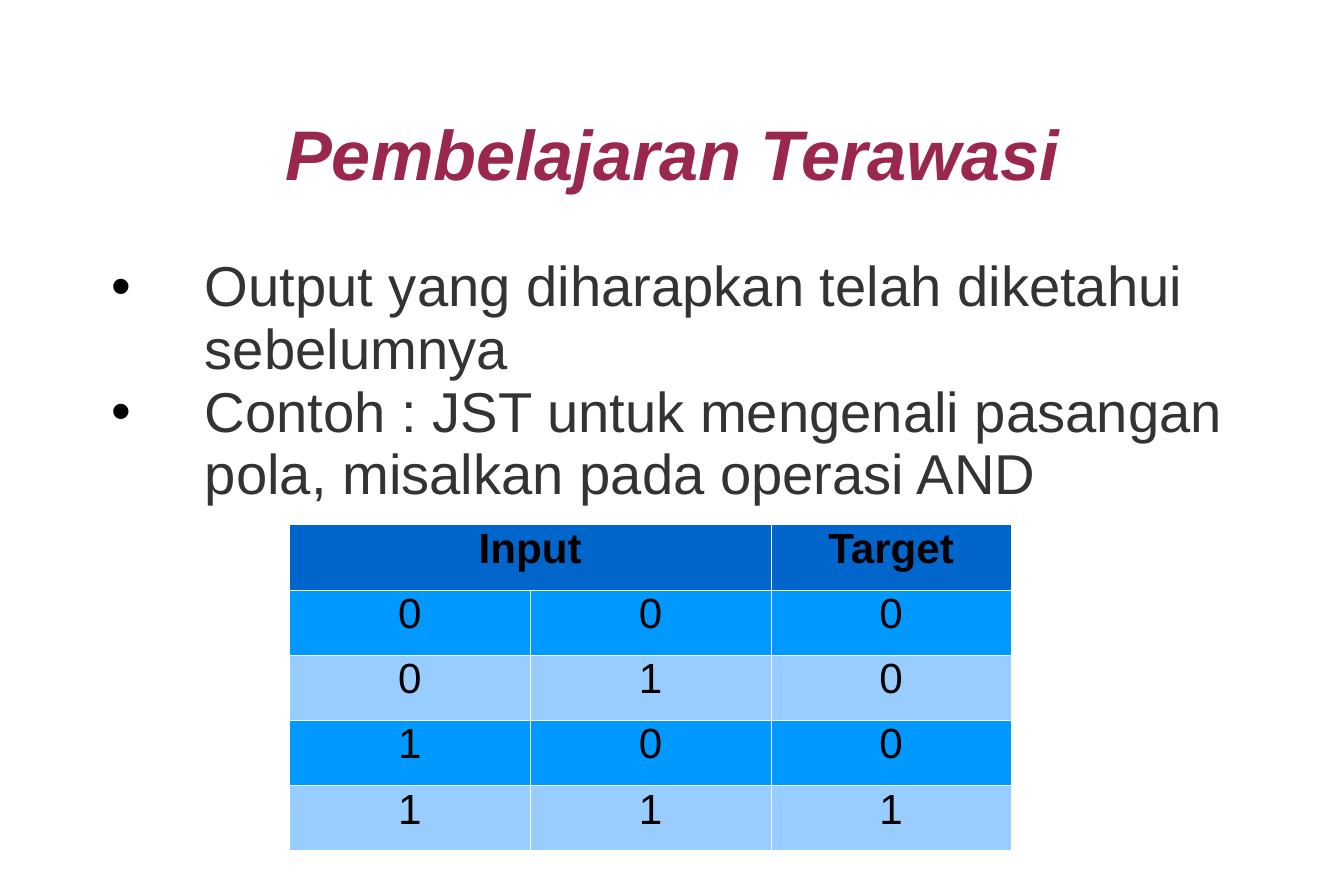
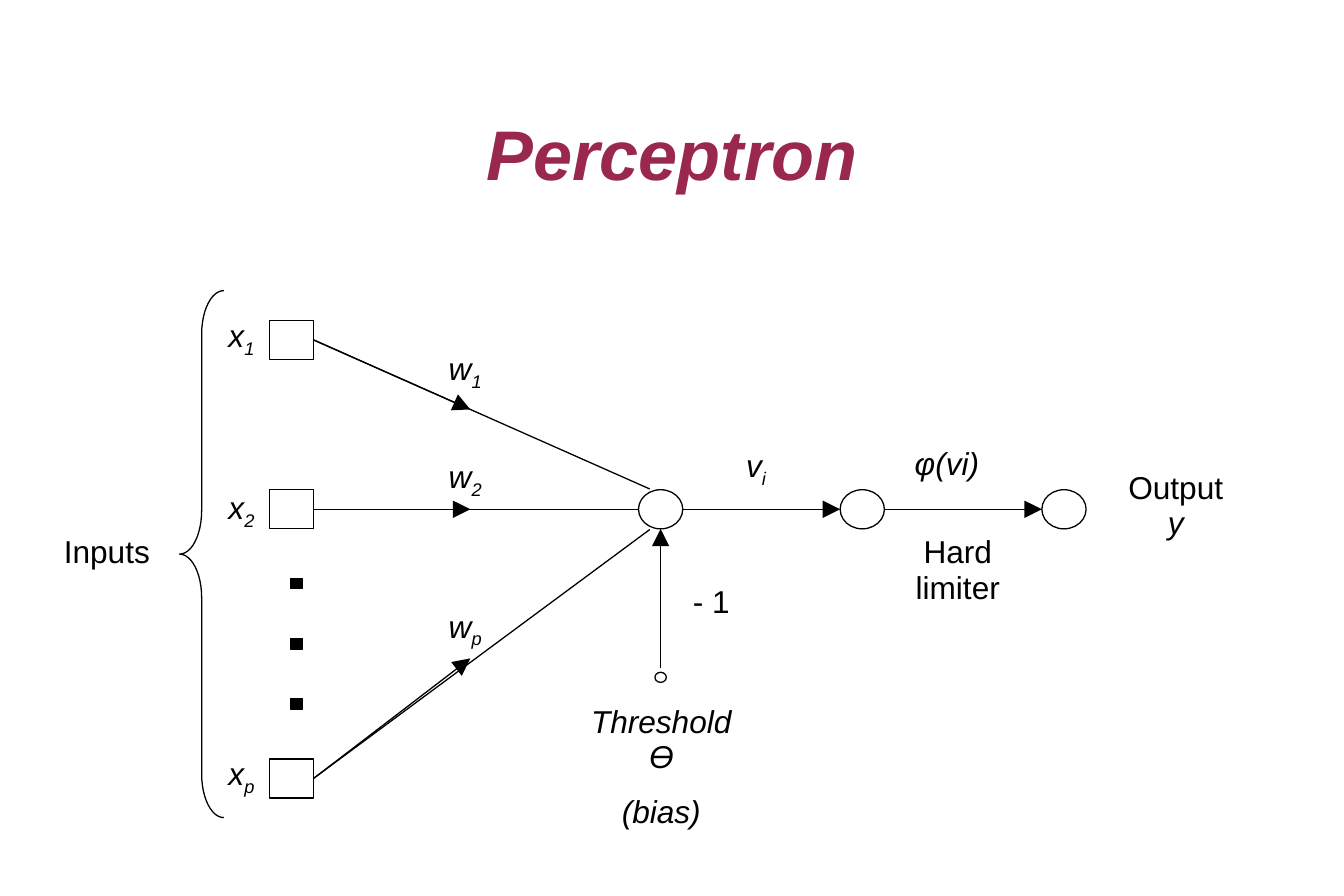
from dataclasses import dataclass

from lxml import etree
from pptx import Presentation
from pptx.dml.color import RGBColor
from pptx.enum import shapes, text
from pptx.oxml import ns
from pptx.util import Inches, Pt


@dataclass(frozen=True)
class Theme:
    font: str = "Arial"
    title: str = "99284C"
    body: str = "333333"
    ink: str = "000000"
    border: str = "FFFFFF"
    header: str = "0066CC"
    bands: tuple = ("0099FF", "99CCFF")
    title_size: int = 40
    body_size: int = 32
    table_size: int = 24
    label_size: int = 18
    line: float = 0.75
    spacing: float = 0.93
    table_spacing: float = 0.87


THEME = Theme()
SLIDE_SIZE = (10.63, 7.09)
TITLE_BOX = (0.78, 0.66, 9.07, 1.17)

# Slide 1 content
BULLETS = [
    "Output yang diharapkan telah diketahui sebelumnya",
    "Contoh : JST untuk mengenali pasangan pola, misalkan pada operasi AND",
]
BODY_BOX = (0.87, 2, 8.87, 4.39)
TRUTH_TABLE = [
    ("Input", "", "Target"),
    ("0", "0", "0"),
    ("0", "1", "0"),
    ("1", "0", "0"),
    ("1", "1", "1"),
]
TABLE_BOX = (2.29, 4.15, 5.71, 2.58)

# Slide 2 content: node grid
NODE_W, NODE_H = 0.35, 0.31
DOT_W, DOT_H = 0.09, 0.08
INPUT_X, NEURON_X, NEURON_STEP = 2.13, 5.05, 1.595
AXIS_Y = 4.03
ARROW_X = 3.72
# Input centre, end of its line on the neuron, height of its arrowhead
INPUTS = [
    (2.69, (5.14, 3.87), 3.24),
    (AXIS_Y, (NEURON_X, AXIS_Y), AXIS_Y),
    (6.16, (5.14, 4.19), 5.21),
]
BRACE_BOX = (1.42, 2.3, 0.35, 4.17)
# Label box, then paragraphs of (text, style): i = italic, s = subscript
LABELS = [
    ((0.27, 4.19, 1.15, 0.38), [[("Inputs", "")]]),
    ((1.51, 2.45, 0.8, 0.42), [[("x", "i"), ("1", "is")]]),
    ((1.51, 3.81, 0.8, 0.42), [[("x", "i"), ("2", "is")]]),
    ((1.51, 5.92, 0.8, 0.42), [[("x", "i"), ("p", "is")]]),
    ((3.28, 2.71, 0.8, 0.42), [[("w", "i"), ("1", "is")]]),
    ((3.28, 3.57, 0.8, 0.42), [[("w", "i"), ("2", "is")]]),
    ((3.28, 4.75, 0.8, 0.42), [[("w", "i"), ("p", "is")]]),
    ((5.58, 3.48, 0.8, 0.42), [[("v", "i"), ("i", "is")]]),
    ((7.09, 3.49, 0.8, 0.38), [[("φ(vi)", "i")]]),
    ((7, 4.19, 1.15, 0.66), [[("Hard limiter", "")]]),
    ((8.77, 3.68, 1.06, 0.66), [[("Output ", ""), ("y", "i")]]),
    ((5.05, 4.58, 1.15, 0.38), [[("- 1", "")]]),
    ((4.52, 5.53, 1.42, 1.1), [[("Threshold Ө", "i")], [("(bias)", "i")]]),
]


def inches(values):
    return [Inches(value) for value in values]


def style_font(font, size, color, bold=False, italic=False):
    font.name, font.size = THEME.font, Pt(size)
    font.color.rgb = RGBColor.from_string(color)
    font.bold, font.italic = bold, italic


def place(shape, box):
    shape.left, shape.top, shape.width, shape.height = inches(box)


def set_frame(frame, insets, anchor=text.MSO_ANCHOR.TOP):
    frame.word_wrap = True
    frame.auto_size = text.MSO_AUTO_SIZE.NONE
    frame.vertical_anchor = anchor
    (frame.margin_left, frame.margin_top,
     frame.margin_right, frame.margin_bottom) = inches(insets)


def add_slide(deck, layout, title):
    page = deck.slides.add_slide(deck.slide_layouts[layout])
    place(page.shapes.title, TITLE_BOX)
    frame = page.shapes.title.text_frame
    frame.text = title
    set_frame(frame, (0, 0, 0, 0), text.MSO_ANCHOR.MIDDLE)
    para = frame.paragraphs[0]
    para.alignment, para.line_spacing = text.PP_ALIGN.CENTER, THEME.spacing
    style_font(para.runs[0].font, THEME.title_size, THEME.title, True, True)
    return page


def add_bullets(page):
    body = page.placeholders[1]
    place(body, BODY_BOX)
    frame = body.text_frame
    frame.text = "\n".join(BULLETS)
    set_frame(frame, (0, 0.03, 0, 0))
    for para in frame.paragraphs:
        para.line_spacing, para.space_before = THEME.spacing, Pt(0)
        props = para._p.get_or_add_pPr()
        props.set("marL", str(Inches(0.75)))
        props.set("indent", str(Inches(-0.74)))
        color = etree.SubElement(props, ns.qn("a:buClr"))
        etree.SubElement(color, ns.qn("a:srgbClr"), val=THEME.ink)
        etree.SubElement(props, ns.qn("a:buChar"), char="•")
        style_font(para.runs[0].font, THEME.body_size, THEME.body)


def set_borders(cell):
    props = cell._tc.get_or_add_tcPr()
    for index, side in enumerate(("lnL", "lnR", "lnT", "lnB")):
        line = etree.Element(ns.qn("a:" + side), w=str(Pt(0.06)))
        fill = etree.SubElement(line, ns.qn("a:solidFill"))
        etree.SubElement(fill, ns.qn("a:srgbClr"), val=THEME.border)
        props.insert(index, line)


def add_truth_table(page):
    count = len(TRUTH_TABLE)
    width, height = TABLE_BOX[2:]
    table = page.shapes.add_table(count, 3, *inches(TABLE_BOX)).table
    for column in table.columns:
        column.width = Inches(width / 3)
    for row in table.rows:
        row.height = Inches(height / count)
    table.cell(0, 0).merge(table.cell(0, 1))
    for r, values in enumerate(TRUTH_TABLE):
        color = THEME.bands[(r - 1) % 2] if r else THEME.header
        for c, value in enumerate(values):
            cell = table.cell(r, c)
            cell.fill.solid()
            cell.fill.fore_color.rgb = RGBColor.from_string(color)
            set_borders(cell)
            if value:
                cell.text = value
                para = cell.text_frame.paragraphs[0]
                para.alignment = text.PP_ALIGN.CENTER
                para.line_spacing = THEME.table_spacing
                style_font(para.runs[0].font, THEME.table_size, THEME.ink, r == 0)


def set_line(shape):
    shape.line.color.rgb = RGBColor.from_string(THEME.ink)
    shape.line.width = Pt(THEME.line)


def add_outline(page, kind, box, filled=False):
    shape = page.shapes.add_shape(kind, *inches(box))
    shape.shadow.inherit = False
    if filled:
        shape.fill.solid()
        shape.fill.fore_color.rgb = RGBColor.from_string(THEME.ink)
    else:
        shape.fill.background()
    set_line(shape)
    return shape


def add_line(page, start, end, arrow=False):
    line = page.shapes.add_connector(
        shapes.MSO_CONNECTOR.STRAIGHT, *inches(start + end))
    set_line(line)
    if arrow:
        etree.SubElement(line.line._get_or_add_ln(), ns.qn("a:tailEnd"),
                         type="triangle", w="lg", len="lg")
    etree.SubElement(line._element.spPr, ns.qn("a:effectLst"))


def add_label(page, box, paragraphs):
    frame = page.shapes.add_textbox(*inches(box)).text_frame
    set_frame(frame, (0.1, 0.05, 0.1, 0.05))
    for index, spans in enumerate(paragraphs):
        para = frame.add_paragraph() if index else frame.paragraphs[0]
        para.alignment, para.line_spacing = text.PP_ALIGN.CENTER, THEME.spacing
        if index:
            para.space_before = Pt(11.2)
        for words, style in spans:
            span = para.add_run()
            span.text = words
            style_font(span.font, THEME.label_size, THEME.ink, italic="i" in style)
            if "s" in style:
                span._r.get_or_add_rPr().set("baseline", "-25000")


def add_perceptron(page):
    kinds = shapes.MSO_SHAPE
    brace = add_outline(page, kinds.LEFT_BRACE, BRACE_BOX)
    brace.adjustments[0] = 0.98

    # Inputs with weighted lines
    for middle, target, arrow_y in INPUTS:
        add_outline(page, kinds.RECTANGLE,
                    (INPUT_X, middle - NODE_H / 2, NODE_W, NODE_H))
        start = (INPUT_X + NODE_W, middle)
        add_line(page, start, target)
        add_line(page, start, (ARROW_X, arrow_y), arrow=True)
    for step in range(3):
        add_outline(page, kinds.RECTANGLE,
                    (2.3, 4.58 + 0.475 * step, DOT_W, DOT_H), filled=True)

    # Sum, limiter and output in a row
    for step in range(3):
        left = NEURON_X + NEURON_STEP * step
        add_outline(page, kinds.OVAL,
                    (left, AXIS_Y - NODE_H / 2, NODE_W, NODE_H))
        if step:
            add_line(page, (left - NEURON_STEP + NODE_W, AXIS_Y),
                     (left, AXIS_Y), arrow=True)

    # Threshold below the sum
    center = NEURON_X + NODE_W / 2
    add_outline(page, kinds.OVAL, (center - DOT_W / 2, 5.32, DOT_W, DOT_H))
    add_line(page, (center, 5.29), (center, AXIS_Y + NODE_H / 2), arrow=True)

    for box, paragraphs in LABELS:
        add_label(page, box, paragraphs)


def main():
    deck = Presentation()
    deck.slide_width, deck.slide_height = inches(SLIDE_SIZE)
    page = add_slide(deck, 1, "Pembelajaran Terawasi")
    add_bullets(page)
    add_truth_table(page)
    add_perceptron(add_slide(deck, 5, "Perceptron"))
    deck.save("out.pptx")


if __name__ == "__main__":
    main()
